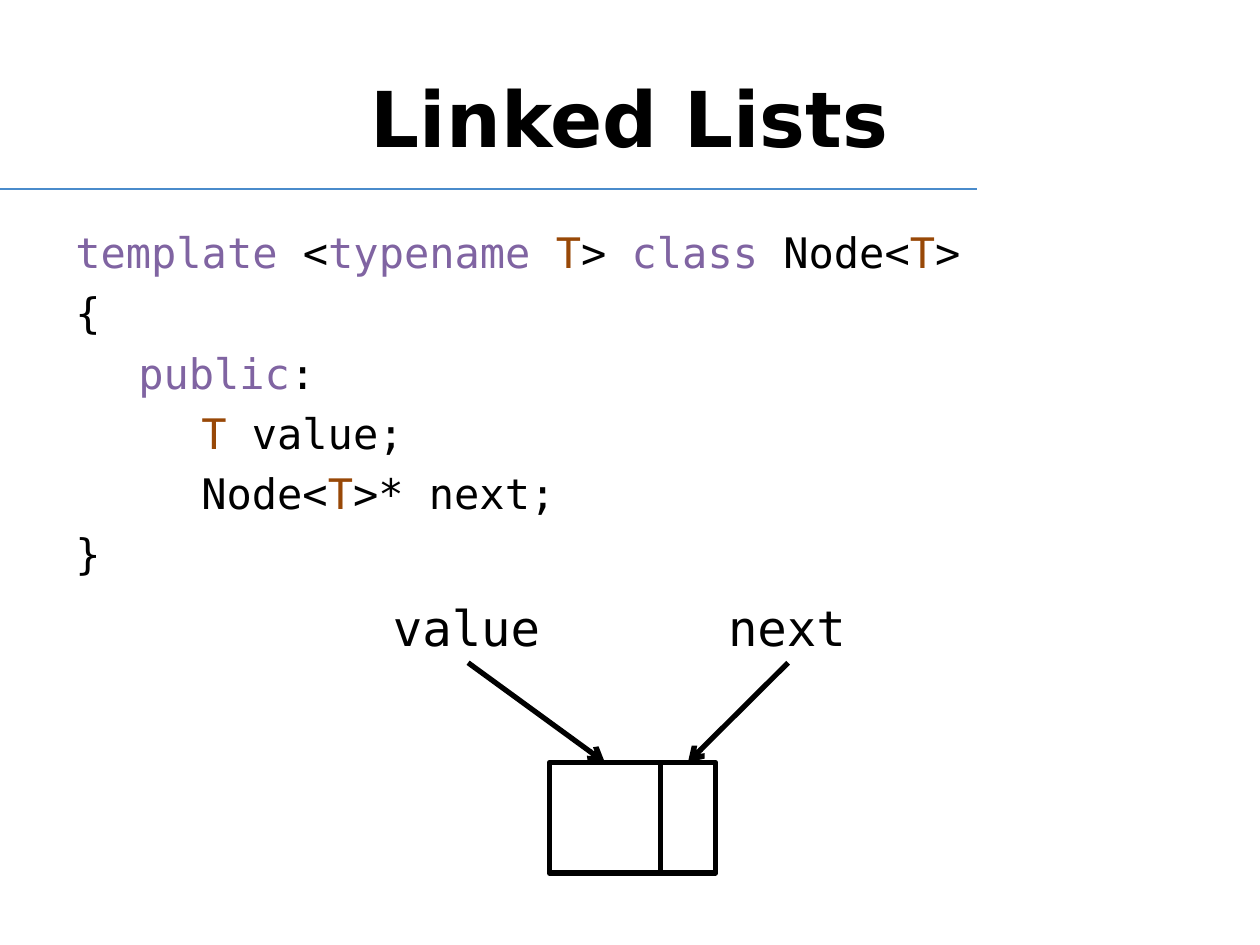
from dataclasses import dataclass

from lxml import etree
from pptx import Presentation
from pptx import util as u
from pptx.dml import color
from pptx.enum import shapes, text
from pptx.oxml import ns

COLUMNS, ROWS = 100, 75
WIDTH, HEIGHT = u.Inches(10), u.Inches(7.5)
SANS, MONO = "DejaVu Sans", "DejaVu Sans Mono"
BLACK, WHITE, RULE = "000000", "FFFFFF", "4A8BCB"
KEYWORD, TYPE = "8064A2", "984807"


@dataclass(frozen=True)
class Area:
    column: float
    row: float
    columns: float
    rows: float

    @property
    def middle(self) -> float:
        return self.column + self.columns / 2

    @property
    def bottom(self) -> float:
        return self.row + self.rows


@dataclass(frozen=True)
class Member:
    name: str
    label: Area
    cell: Area


TITLE = Area(5, 3, 90, 12.5)
CODE = Area(5, 17.5, 90, 49.5)
SIDE = 8.8
MEMBERS = [
    Member("value", Area(30.2, 46.9, 13.9, 5.7), Area(43.6, 60.5, SIDE, SIDE)),
    Member("next", Area(56.8, 46.9, 11.5, 5.7), Area(43.6 + SIDE, 60.5, SIDE / 2, SIDE)),
]
CODE_LINES = [
    [("template ", KEYWORD), ("<", BLACK), ("typename ", KEYWORD), ("T", TYPE), ("> ", BLACK),
     ("class", KEYWORD), (" Node<", BLACK), ("T", TYPE), (">", BLACK)],
    [("{", BLACK)],
    [("\t", BLACK), ("public", KEYWORD), (":", BLACK)],
    [("\t\tT", TYPE), (" value;", BLACK)],
    [("\t\tNode<", BLACK), ("T", TYPE), (">* next;", BLACK)],
    [("}", BLACK)],
]


def rgb(value: str) -> color.RGBColor:
    return color.RGBColor.from_string(value)


def x(columns: float) -> int:
    return round(WIDTH * columns / COLUMNS)


def y(rows: float) -> int:
    return round(HEIGHT * rows / ROWS)


def place(area: Area) -> tuple[int, int, int, int]:
    return x(area.column), y(area.row), x(area.columns), y(area.rows)


def apply(target, values: dict) -> None:
    for name, value in values.items():
        setattr(target, name, value)


def write(slide, area: Area, lines: list, font: dict, frame: dict, paragraph: dict) -> None:
    body = slide.shapes.add_textbox(*place(area)).text_frame
    apply(body, frame)
    for index, pieces in enumerate(lines):
        line = body.add_paragraph() if index else body.paragraphs[0]
        apply(line, paragraph)
        if not index:
            line.space_before = u.Pt(0)
        for words, ink in pieces:
            run = line.add_run()
            run.text = words
            apply(run.font, font)
            run.font.color.rgb = rgb(ink)


def draw_line(slide, start: tuple, end: tuple, ink: str, points: float, arrow: bool) -> None:
    line = slide.shapes.add_connector(
        shapes.MSO_CONNECTOR.STRAIGHT, x(start[0]), y(start[1]), x(end[0]), y(end[1]))
    line.line.color.rgb = rgb(ink)
    line.line.width = u.Pt(points)
    if arrow:
        etree.SubElement(line.line._get_or_add_ln(), ns.qn("a:tailEnd"), type="arrow")
    etree.SubElement(line._element.spPr, ns.qn("a:effectLst"))


def draw_cell(node, area: Area) -> None:
    cell = node.shapes.add_shape(shapes.MSO_SHAPE.RECTANGLE, *place(area))
    cell.shadow.inherit = False
    cell.fill.solid()
    cell.fill.fore_color.rgb = rgb(WHITE)
    cell.line.color.rgb = rgb(BLACK)
    cell.line.width = u.Pt(3)


def main() -> None:
    deck = Presentation()
    apply(deck, {"slide_width": WIDTH, "slide_height": HEIGHT})
    slide = deck.slides.add_slide(deck.slide_layouts[6])

    draw_line(slide, (0, 15), (77.5, 15), RULE, 0.75, False)
    write(slide, TITLE, [[("Linked Lists", BLACK)]],
          {"name": SANS, "size": u.Pt(44), "bold": True},
          {"word_wrap": True, "vertical_anchor": text.MSO_ANCHOR.MIDDLE},
          {"alignment": text.PP_ALIGN.CENTER})
    write(slide, CODE, CODE_LINES, {"name": MONO, "size": u.Pt(24)},
          {"word_wrap": True}, {"space_before": u.Pt(5.6)})

    node = slide.shapes.add_group_shape()
    for member in MEMBERS:
        draw_cell(node, member.cell)
    for member in MEMBERS:
        write(slide, member.label, [[(member.name, BLACK)]],
              {"name": MONO, "size": u.Pt(28)},
              {"word_wrap": False, "auto_size": text.MSO_AUTO_SIZE.SHAPE_TO_FIT_TEXT}, {})
        draw_line(slide, (member.label.middle, member.label.bottom),
                  (member.cell.middle, member.cell.row), BLACK, 3, True)

    deck.save("out.pptx")


if __name__ == "__main__":
    main()
